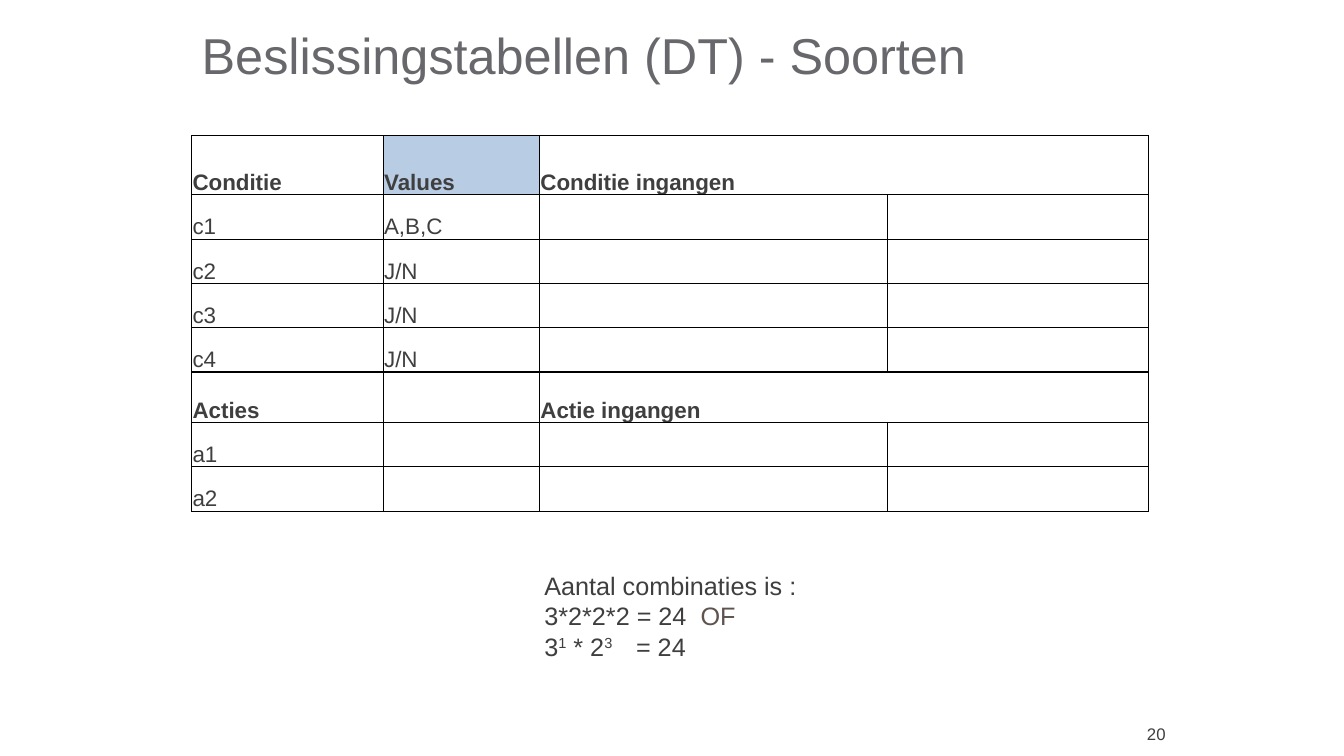
"""Build the slide about kinds of decision tables."""
from lxml import etree
from pptx import Presentation
from pptx.dml.color import RGBColor
from pptx.enum import text
from pptx.oxml import ns
from pptx.util import Inches, Pt

TITLE = "Beslissingstabellen (DT) - Soorten"
PAGE_NUMBER = "20"
ROWS = [
    ("Conditie", "Values", "Conditie ingangen", ""),
    ("c1", "A,B,C", "", ""),
    ("c2", "J/N", "", ""),
    ("c3", "J/N", "", ""),
    ("c4", "J/N", "", ""),
    ("Acties", "", "Actie ingangen", ""),
    ("a1", "", "", ""),
    ("a2", "", "", ""),
]
HEADER_ROWS = (0, 5)
LAST_CONDITION, FIRST_ACTION = 4, 5
VALUES_HEADER = (0, 1)
COLUMN_WIDTHS = (1.9, 1.55, 3.45, 2.59)
ROW_HEIGHTS = (0.59, 0.44, 0.44, 0.44, 0.44, 0.5, 0.44, 0.44)
COMBINATIONS = [
    [("Aantal combinaties is :", "plain")],
    [("3*2*2*2 = 24  ", "plain"), ("OF", "accent")],
    [("3", "plain"), ("1", "super"), (" * 2", "plain"), ("3", "super"),
     ("\t= 24", "plain")],
]
RESULT_TAB = 0.91

FONT = "Arial"
GREY = RGBColor(0x68, 0x67, 0x6C)
DARK = RGBColor(0x3F, 0x3F, 0x3F)
BROWN = RGBColor(0x5F, 0x53, 0x4E)
LIGHT_BLUE = RGBColor(0xB8, 0xCC, 0xE4)
BORDER = "000000"
THIN, THICK = 0.45, 1.93


def set_font(para, size, color, bold=False):
    """Format a whole paragraph."""
    font = para.font
    font.name, font.size, font.bold = FONT, Pt(size), bold
    font.color.rgb = color


def add_box(page, left, top, width, height):
    """Add a wrapping text box and return its text frame."""
    box = page.shapes.add_textbox(*map(Inches, (left, top, width, height)))
    box.text_frame.word_wrap = True
    return box.text_frame


def set_borders(cell, top, bottom):
    """Draw the four borders of a cell."""
    props = cell._tc.get_or_add_tcPr()
    for side, width in (("L", THIN), ("R", THIN), ("T", top), ("B", bottom)):
        line = etree.SubElement(props, ns.qn(f"a:ln{side}"), w=str(Pt(width)))
        fill = etree.SubElement(line, ns.qn("a:solidFill"))
        etree.SubElement(fill, ns.qn("a:srgbClr"), val=BORDER)


def add_title(page):
    """Place the slide title."""
    title = page.shapes.title
    title.left, title.top, title.width, title.height = map(
        Inches, (1.9, 0.19, 9.53, 1.25))
    frame = title.text_frame
    frame.text = TITLE
    frame.auto_size = text.MSO_AUTO_SIZE.NONE
    frame.vertical_anchor = text.MSO_ANCHOR.TOP
    para = frame.paragraphs[0]
    para.alignment = text.PP_ALIGN.LEFT
    set_font(para, 36, GREY)


def add_decision_table(page):
    """Add the table of conditions and actions."""
    frame = page.shapes.add_table(
        len(ROWS), len(COLUMN_WIDTHS), Inches(1.9), Inches(1.34),
        Inches(sum(COLUMN_WIDTHS)), Inches(sum(ROW_HEIGHTS)))
    table = frame.table
    table.first_row = table.horz_banding = False
    for column, width in zip(table.columns, COLUMN_WIDTHS):
        column.width = Inches(width)
    for r, (height, words) in enumerate(zip(ROW_HEIGHTS, ROWS)):
        table.rows[r].height = Inches(height)
        for c, word in enumerate(words):
            cell = table.cell(r, c)
            cell.margin_left = cell.margin_right = Inches(0.01)
            cell.margin_top, cell.margin_bottom = Inches(0.1), 0
            cell.vertical_anchor = text.MSO_ANCHOR.BOTTOM
            set_borders(cell, THICK if r == FIRST_ACTION else THIN,
                        THICK if r == LAST_CONDITION else THIN)
            if (r, c) == VALUES_HEADER:
                cell.fill.solid()
                cell.fill.fore_color.rgb = LIGHT_BLUE
            else:
                cell.fill.background()
            cell.text = word
            para = cell.text_frame.paragraphs[0]
            para.line_spacing = 0.81
            set_font(para, 16, DARK, r in HEADER_ROWS)
    for r in HEADER_ROWS:
        table.cell(r, 2).merge(table.cell(r, 3))


def add_combinations(page):
    """Add the count of combinations below the table."""
    frame = add_box(page, 5.3, 5.61, 6.09, 1)
    for i, spans in enumerate(COMBINATIONS):
        para = frame.add_paragraph() if i else frame.paragraphs[0]
        tabs = etree.SubElement(para._p.get_or_add_pPr(), ns.qn("a:tabLst"))
        etree.SubElement(tabs, ns.qn("a:tab"), pos=str(Inches(RESULT_TAB)),
                         algn="l")
        set_font(para, 18, DARK)
        for words, style in spans:
            span = para.add_run()
            span.text = words
            if style == "accent":
                span.font.color.rgb = BROWN
            elif style == "super":
                span._r.get_or_add_rPr().set("baseline", "30000")


def add_page_number(page):
    """Add the page number at the lower right."""
    frame = add_box(page, 9.33, 7.08, 2.33, 0.4)
    frame.vertical_anchor = text.MSO_ANCHOR.MIDDLE
    frame.text = PAGE_NUMBER
    para = frame.paragraphs[0]
    para.alignment = text.PP_ALIGN.RIGHT
    set_font(para, 12, DARK)


def main():
    """Build and save the deck."""
    deck = Presentation()
    deck.slide_width, deck.slide_height = Inches(13.33), Inches(7.5)
    page = deck.slides.add_slide(deck.slide_layouts[5])
    add_title(page)
    add_decision_table(page)
    add_combinations(page)
    add_page_number(page)
    deck.save("out.pptx")


if __name__ == "__main__":
    main()
